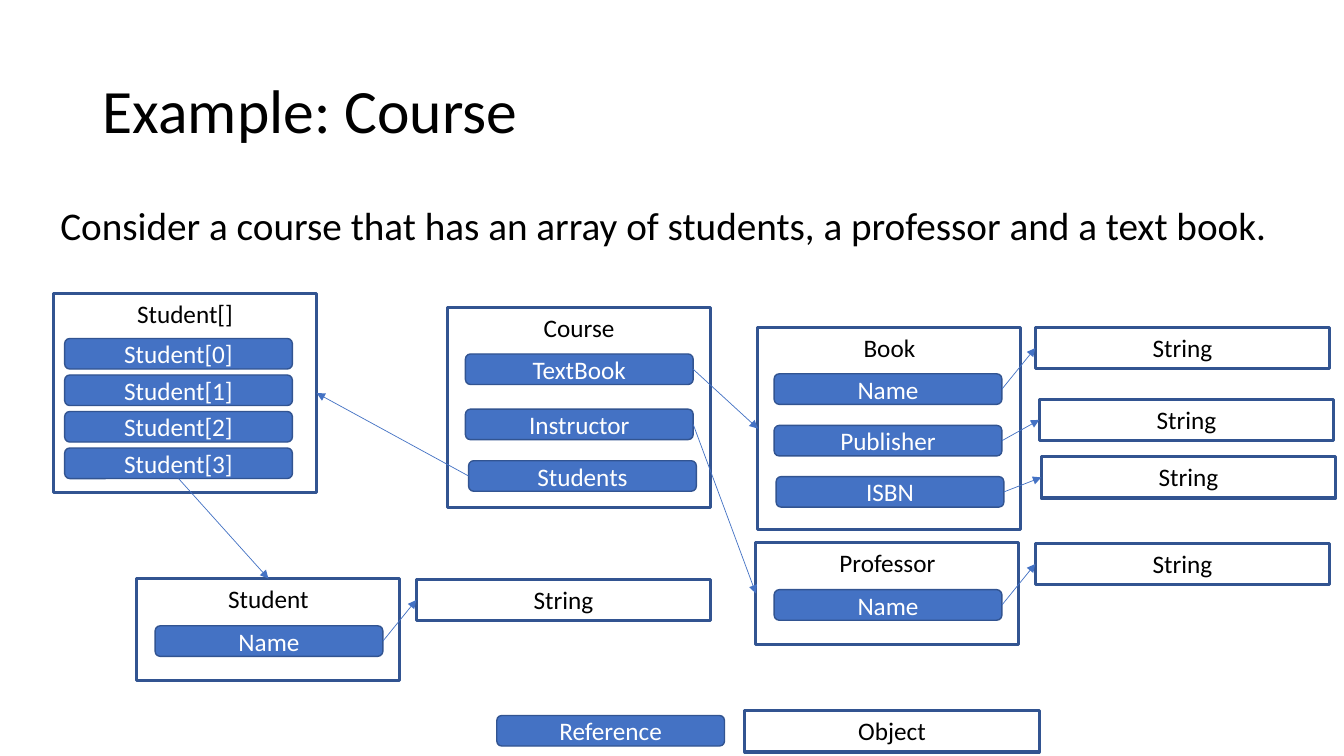
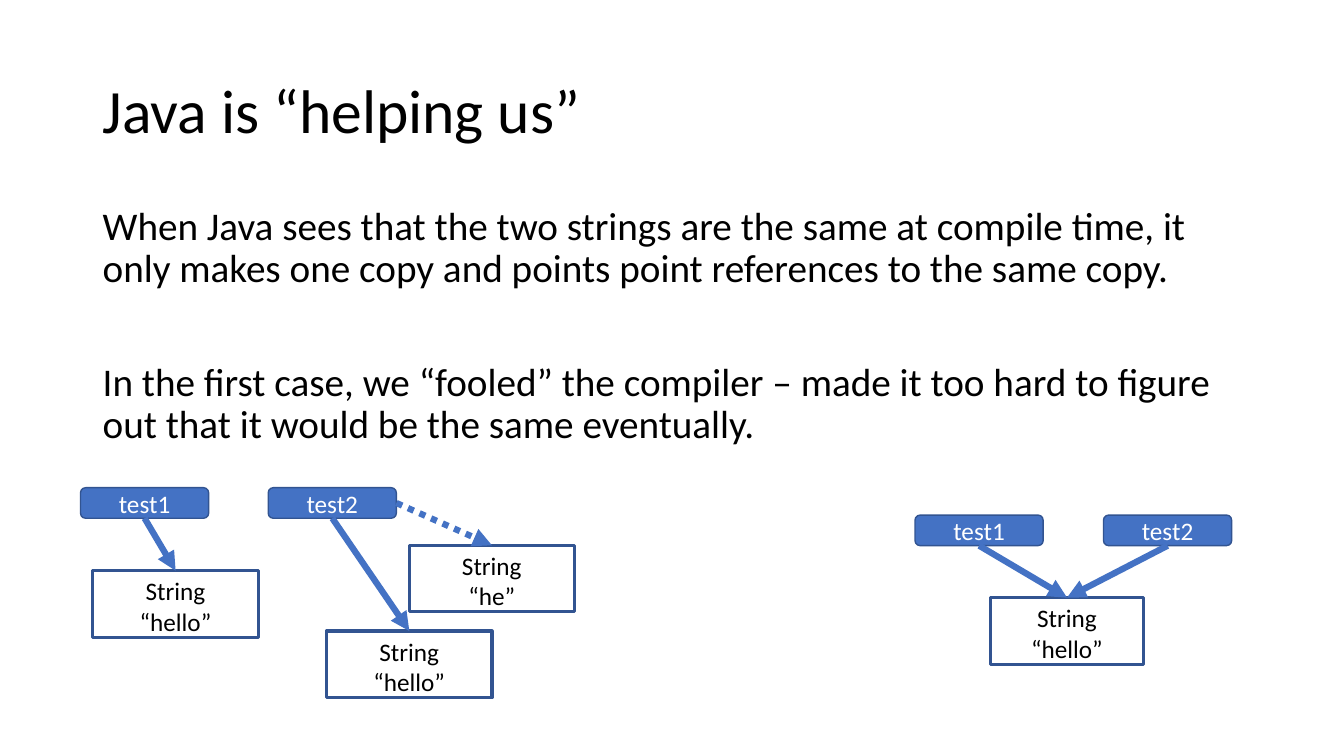
import pptx
import pptx.util
import pptx.dml.color
import pptx.enum.dml
import pptx.enum.shapes
import pptx.enum.text
import pptx.oxml.ns
import lxml.etree

Cm = pptx.util.Cm
Pt = pptx.util.Pt
ANCHOR = pptx.enum.text.MSO_ANCHOR
SHAPE = pptx.enum.shapes.MSO_SHAPE

BLACK = pptx.dml.color.RGBColor(0x00, 0x00, 0x00)
WHITE = pptx.dml.color.RGBColor(0xFF, 0xFF, 0xFF)
BLUE = pptx.dml.color.RGBColor(0x44, 0x72, 0xC4)
DARK_BLUE = pptx.dml.color.RGBColor(0x32, 0x54, 0x91)

TITLE_AREA = (2.34, 1.02, 29.21, 3.68)
TITLE_FONT = {"name": "Calibri", "size": Pt(44)}
BODY_FONT = {"name": "Calibri", "size": Pt(28)}
LABEL_FONT = {"name": "Calibri", "size": Pt(18)}

# Connection sites, counted anticlockwise from the top
TOP, LEFT, BOTTOM, RIGHT = range(4)

FIELD_SIZE = (5.74, 0.77)
STRING_SIZE = (7.42, 1.04)
VARIABLE_SIZE = (3.23, 0.77)


def add_node(slide, label, area, is_reference):
    """Add a filled reference or an outlined object; area is in centimetres."""
    outline = SHAPE.ROUNDED_RECTANGLE if is_reference else SHAPE.RECTANGLE
    node = slide.shapes.add_shape(outline, *map(Cm, area))
    node.shadow.inherit = False
    node.line.color.rgb = DARK_BLUE
    node.line.width = Pt(1 if is_reference else 2.25)
    if is_reference:
        node.fill.solid()
        node.fill.fore_color.rgb = BLUE
    else:
        node.fill.background()
    frame = node.text_frame
    frame.vertical_anchor = ANCHOR.MIDDLE if is_reference else ANCHOR.TOP
    paragraph = frame.paragraphs[0]
    paragraph.text = label
    paragraph.alignment = pptx.enum.text.PP_ALIGN.CENTER
    for attribute, value in LABEL_FONT.items():
        setattr(paragraph.font, attribute, value)
    paragraph.font.color.rgb = WHITE if is_reference else BLACK
    return node


def add_arrow(slide, source, target, sides, width, dash=None):
    """Connect two nodes by a straight arrow between the given sides."""
    arrow = slide.shapes.add_connector(
        pptx.enum.shapes.MSO_CONNECTOR.STRAIGHT, 0, 0, 0, 0)
    arrow.begin_connect(source, sides[0])
    arrow.end_connect(target, sides[1])
    arrow.line.color.rgb = BLUE
    arrow.line.width = Pt(width)
    if dash is not None:
        arrow.line.dash_style = dash
    qn = pptx.oxml.ns.qn
    properties = arrow.line._get_or_add_ln().getparent()
    lxml.etree.SubElement(properties.find(qn("a:ln")), qn("a:tailEnd"), type="triangle")
    lxml.etree.SubElement(properties, qn("a:effectLst"))


deck = pptx.Presentation()
deck.slide_width = Cm(33.87)
deck.slide_height = Cm(19.05)

# Titles and body text of both slides
contents = [
    ("Example: Course", (1.27, 5.08, 31.32, 1.35), [
        "Consider a course that has an array of students, a professor and a text book.",
    ]),
    ("Java is “helping us”", (2.34, 5.08, 29.21, 6.58), [
        "When Java sees that the two strings are the same at compile time, it only "
        "makes one copy and points point references to the same copy.",
        "In the first case, we “fooled” the compiler – made it too hard to figure "
        "out that it would be the same eventually.",
    ]),
]
slides = []
for title, body_area, body in contents:
    slide = deck.slides.add_slide(deck.slide_layouts[6])
    slides.append(slide)
    for area, texts, font, anchor, first_gap in [
        (TITLE_AREA, [title], TITLE_FONT, ANCHOR.MIDDLE, 0),
        (body_area, body, BODY_FONT, ANCHOR.TOP, 10),
    ]:
        frame = slide.shapes.add_textbox(*map(Cm, area)).text_frame
        frame.word_wrap = True
        frame.vertical_anchor = anchor
        for index, text in enumerate(texts):
            paragraph = frame.add_paragraph() if index else frame.paragraphs[0]
            paragraph.text = text
            paragraph.line_spacing = 0.9
            paragraph.space_before = Pt(51 if index else first_gap)
            for attribute, value in font.items():
                setattr(paragraph.font, attribute, value)
            paragraph.font.color.rgb = BLACK
course_slide, strings_slide = slides

# Slide 1: objects, then their fields with what each one refers to
object_areas = {
    "Book": (19.1, 8.25, 6.63, 5.1),
    "Course": (11.28, 7.75, 6.63, 5.03),
    "Professor": (19.05, 13.67, 6.63, 2.57),
    "Student[]": (1.35, 7.39, 6.63, 5.03),
    "Student": (3.45, 14.58, 6.63, 2.57),
    "Object": (18.77, 17.91, *STRING_SIZE),
}
objects = {name: add_node(course_slide, name, area, False)
           for name, area in object_areas.items()}

# A target is an object's name, the place of a new String, or None
fields = [
    ("Name", (19.51, 9.42), (26.09, 8.25), (RIGHT, LEFT)),
    ("Publisher", (19.51, 10.72), (26.19, 10.06), (RIGHT, LEFT)),
    ("ISBN", (19.56, 12.01), (26.24, 11.51), (RIGHT, LEFT)),
    ("TextBook", (11.73, 8.92), "Book", (RIGHT, LEFT)),
    ("Instructor", (11.73, 10.31), "Professor", (RIGHT, LEFT)),
    ("Students", (11.81, 11.61), "Student[]", (LEFT, RIGHT)),
    ("Name", (19.51, 14.86), (26.09, 13.69), (RIGHT, LEFT)),
    ("Name", (3.91, 15.77), (10.49, 14.6), (RIGHT, LEFT)),
    ("Reference", (12.52, 18.03), None, None),
]
for index in range(4):
    target = "Student" if index == 3 else None
    fields.append((f"Student[{index}]", (1.63, 8.53 + 0.92 * index), target, (BOTTOM, TOP)))

for label, place, target, sides in fields:
    field = add_node(course_slide, label, place + FIELD_SIZE, True)
    if target is None:
        continue
    if target in objects:
        referent = objects[target]
    else:
        referent = add_node(course_slide, "String", target + STRING_SIZE, False)
    add_arrow(course_slide, field, referent, sides, 0.5)

# Slide 2: separate strings on the left, one shared string on the right
variables = [
    add_node(strings_slide, label, (left, top, *VARIABLE_SIZE), True)
    for label, left, top in [
        ("test1", 2.03, 12.29), ("test2", 6.76, 12.29),
        ("test1", 23.06, 12.98), ("test2", 27.81, 12.98),
    ]
]
hello_1, hello_2, he, shared_hello = [
    add_node(strings_slide, f"String\v“{value}”", (left, top, width, 1.68), False)
    for value, left, top, width in [
        ("hello", 2.34, 14.38, 4.17), ("hello", 8.23, 15.9, 4.17),
        ("he", 10.31, 13.74, 4.17), ("hello", 24.97, 15.06, 3.84),
    ]
]
for variable, text_object in zip(variables, [hello_1, hello_2, shared_hello, shared_hello]):
    add_arrow(strings_slide, variable, text_object, (BOTTOM, TOP), 4.5)
add_arrow(strings_slide, variables[1], he, (RIGHT, TOP), 4.5,
          pptx.enum.dml.MSO_LINE.ROUND_DOT)

deck.save("out.pptx")
